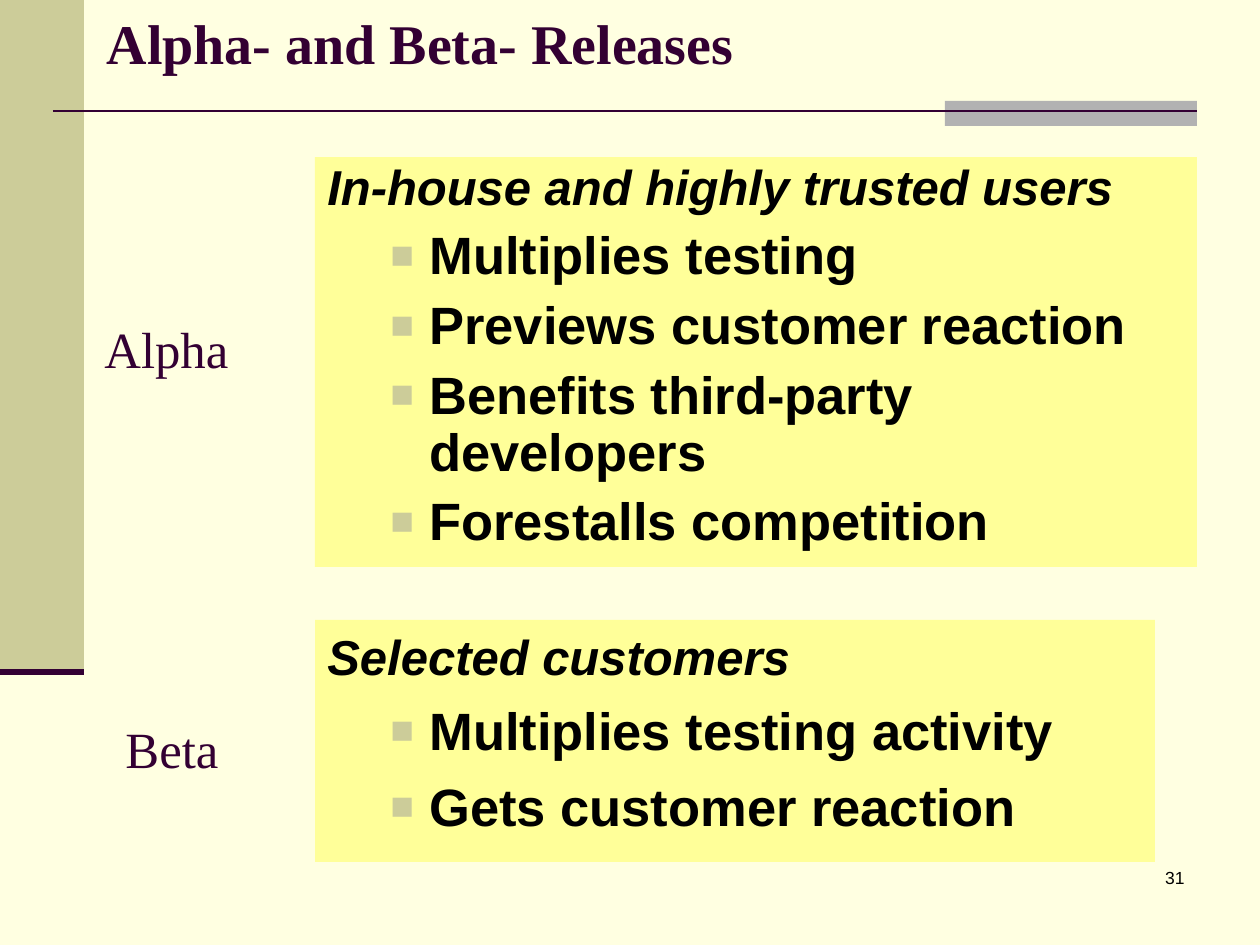
import pptx
import pptx.dml.color
import pptx.enum.shapes
import pptx.enum.text
import pptx.oxml
import pptx.oxml.ns
import pptx.util

SHAPE = pptx.enum.shapes.MSO_SHAPE
WIRE = pptx.enum.shapes.MSO_CONNECTOR
ANCHOR = pptx.enum.text.MSO_ANCHOR
FIT = pptx.enum.text.MSO_AUTO_SIZE
ALIGN = pptx.enum.text.PP_ALIGN


def px(num):
    return pptx.util.Emu(round(num * 914400 / 126))


def color(code):
    return pptx.dml.color.RGBColor.from_string(code)


class Deck:
    """Holds the style and the current slide, and draws its elements."""

    ink, black = "330033", "000000"
    cream, olive, gray, yellow = "FFFFE1", "CCCC99", "B2B2B2", "FFFF99"
    serif, sans = "Times New Roman", "Arial"

    def __init__(self):
        self.file = pptx.Presentation()
        self.file.slide_width, self.file.slide_height = px(1260), px(945)
        self.slide = self.file.slides.add_slide(self.file.slide_layouts[5])
        fill = self.slide.background.fill
        fill.solid()
        fill.fore_color.rgb = color(self.cream)

    def block(self, x, y, w, h, fill):
        shape = self.slide.shapes.add_shape(
            SHAPE.RECTANGLE, px(x), px(y), px(w), px(h))
        shape.shadow.inherit = False
        shape.fill.solid()
        shape.fill.fore_color.rgb = color(fill)
        shape.line.fill.background()
        return shape

    def rule(self, x, y, end, width):
        line = self.slide.shapes.add_connector(
            WIRE.STRAIGHT, px(x), px(y), px(end), px(y))
        line.line.color.rgb = color(self.ink)
        line.line.width = pptx.util.Pt(width)
        props = line._element.spPr
        props.append(pptx.oxml.parse_xml(
            f'<a:effectLst {pptx.oxml.ns.nsdecls("a")}/>'))

    def words(self, para, text, size, face, tint, bold=False, slant=False):
        run = para.add_run()
        run.text = text
        font = run.font
        font.size, font.name = pptx.util.Pt(size), face
        font.bold, font.italic = bold, slant
        font.color.rgb = color(tint)

    def indent(self, para, left, hang):
        props = para._p.get_or_add_pPr()
        props.set("marL", str(px(left)))
        props.set("indent", str(-px(hang)))
        return props

    def bullet(self, para):
        props = self.indent(para, 102, 39)
        space = pptx.oxml.ns.nsdecls("a")
        for part in (
            f'<a:buClr {space}><a:srgbClr val="{self.olive}"/></a:buClr>',
            f'<a:buSzPct {space} val="75000"/>',
            f'<a:buFont {space} typeface="{self.sans}"/>',
            f'<a:buChar {space} char="■"/>',
        ):
            props.append(pptx.oxml.parse_xml(part))

    def title(self, text, x, y, w, h):
        shape = self.slide.shapes.title
        shape.left, shape.top, shape.width, shape.height = map(px, (x, y, w, h))
        frame = shape.text_frame
        frame.word_wrap, frame.auto_size = True, FIT.SHAPE_TO_FIT_TEXT
        frame.vertical_anchor = ANCHOR.TOP
        para = frame.paragraphs[0]
        para.alignment, para.line_spacing = ALIGN.LEFT, 0.7
        self.words(para, text, 32, self.serif, self.ink, bold=True)

    def panel(self, x, y, w, h, head, items, space):
        frame = self.block(x, y, w, h, self.yellow).text_frame
        frame.word_wrap, frame.vertical_anchor = True, ANCHOR.TOP
        para = frame.paragraphs[0]
        para.alignment, para.line_spacing = ALIGN.LEFT, space
        self.indent(para, 48, 48)
        self.words(para, head, 28, self.sans, self.black, True, True)
        for item in items:
            para = frame.add_paragraph()
            self.bullet(para)
            para.level, para.alignment = 1, ALIGN.LEFT
            para.line_spacing = space
            para.space_before = pptx.util.Pt(7.5)
            self.words(para, item, 30, self.sans, self.black, True)

    def text(self, x, y, w, h):
        box = self.slide.shapes.add_textbox(px(x), px(y), px(w), px(h))
        return box.text_frame

    def label(self, text, x, y, w, h):
        frame = self.text(x, y, w, h)
        frame.word_wrap, frame.auto_size = False, FIT.SHAPE_TO_FIT_TEXT
        frame.vertical_anchor = ANCHOR.MIDDLE
        self.words(frame.paragraphs[0], text, 29, self.serif, self.ink)

    def number(self, text, x, y, w, h):
        frame = self.text(x, y, w, h)
        frame.word_wrap = True
        para = frame.paragraphs[0]
        para.alignment = ALIGN.RIGHT
        self.words(para, text, 10, self.sans, self.black)


def main():
    deck = Deck()
    deck.block(0, 0, 84, 672, deck.olive)
    deck.block(945, 101, 252, 25, deck.gray)
    deck.rule(53, 111, 1197, 1.5)
    deck.rule(0, 672, 84, 3.5)
    deck.title("Alpha- and Beta- Releases", 94, 21, 955, 60)
    deck.panel(315, 157, 882, 410, "In-house and highly trusted users", [
        "Multiplies testing",
        "Previews customer reaction",
        "Benefits third-party developers",
        "Forestalls competition",
    ], 0.9)
    deck.panel(315, 620, 840, 242, "Selected customers", [
        "Multiplies testing activity",
        "Gets customer reaction",
    ], 1.0)
    deck.label("Alpha", 92, 311, 149, 74)
    deck.label("Beta", 113, 711, 118, 74)
    deck.number("31", 935, 861, 262, 63)
    deck.file.save("out.pptx")


if __name__ == "__main__":
    main()
